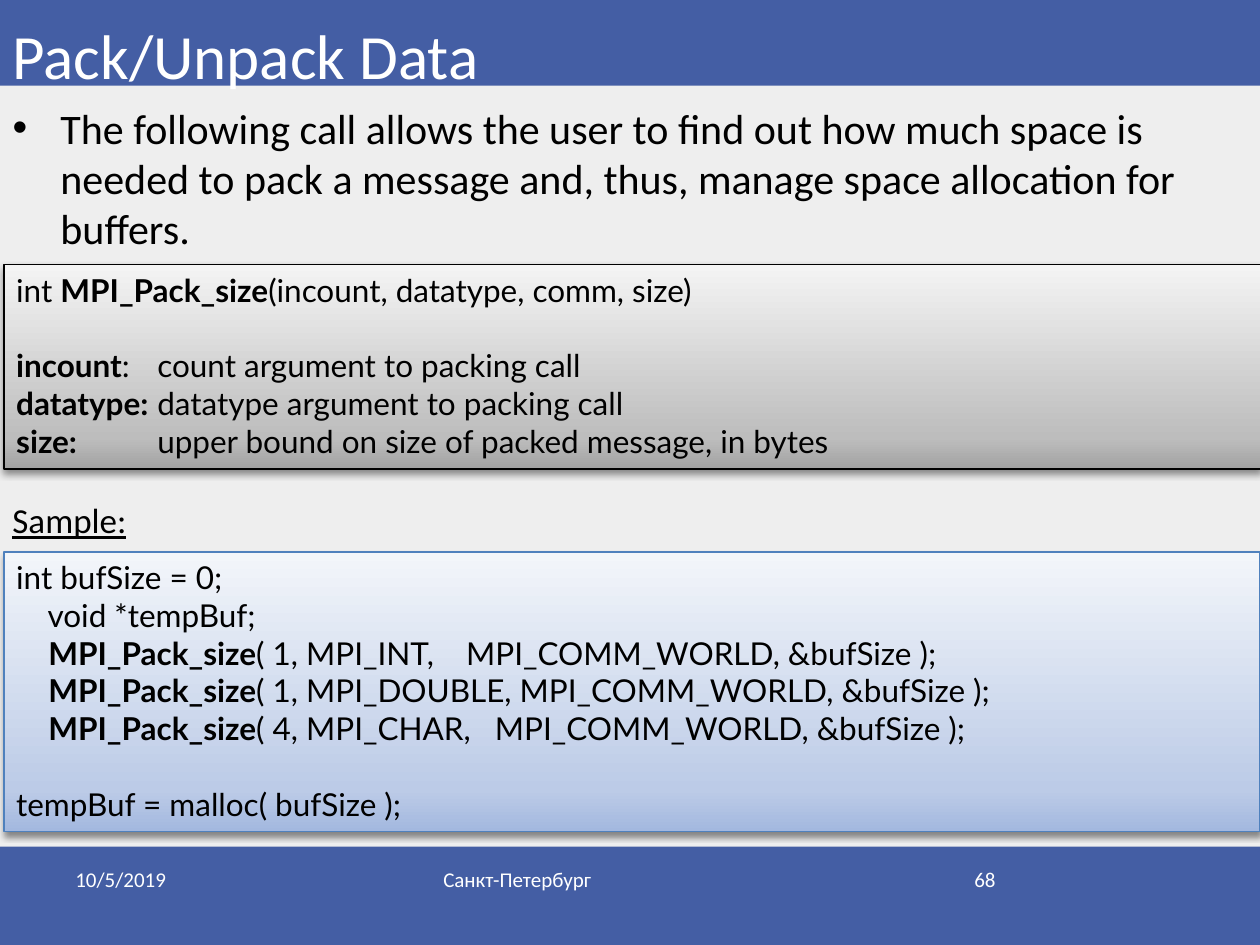
import pptx
import pptx.dml.color
import pptx.enum.shapes
import pptx.enum.text
import pptx.oxml
import pptx.oxml.ns
import pptx.util
from pptx.util import Inches

BAND = "445EA4"
WHITE = "FFFFFF"
BLACK = "000000"
CODE_PT = 18
BLANK_LINE_PT = 21.6
CALL = "MPI_Pack_size"
NS = pptx.oxml.ns.nsdecls("a")
ALIGN = pptx.enum.text.PP_ALIGN
ANCHOR = pptx.enum.text.MSO_ANCHOR
RECTANGLE = pptx.enum.shapes.MSO_SHAPE.RECTANGLE


def rgb(color):
    return pptx.dml.color.RGBColor.from_string(color)


def inches(box):
    return [Inches(length) for length in box]


def place(holder, box):
    holder.left, holder.top, holder.width, holder.height = inches(box)


def add_run(paragraph, words, size, color, font="Calibri", bold=False, underline=None):
    run = paragraph.add_run()
    run.text = words
    run.font.name = font
    run.font.size = pptx.util.Pt(size)
    run.font.bold = bold
    run.font.underline = underline
    run.font.color.rgb = rgb(color)


def add_band(slide, box):
    band = slide.shapes.add_shape(RECTANGLE, *inches(box))
    band.shadow.inherit = False
    band.fill.solid()
    band.fill.fore_color.rgb = rgb(BAND)
    band.line.fill.background()
    slide.shapes._spTree.insert(2, band._element)


def add_label(slide, box, words, size, color, align=ALIGN.LEFT, wrap=True, underline=None):
    label = slide.shapes.add_textbox(*inches(box))
    label.text_frame.word_wrap = wrap
    paragraph = label.text_frame.paragraphs[0]
    paragraph.alignment = align
    add_run(paragraph, words, size, color, underline=underline)


def fill_title(slide, box, words):
    title = slide.shapes.title
    place(title, box)
    title.text_frame.auto_size = pptx.enum.text.MSO_AUTO_SIZE.NONE
    title.text_frame.vertical_anchor = ANCHOR.BOTTOM
    paragraph = title.text_frame.paragraphs[0]
    paragraph.alignment = ALIGN.LEFT
    add_run(paragraph, words, 36, WHITE)


def fill_body(slide, box, words):
    body = slide.placeholders[1]
    place(body, box)
    body.text_frame.auto_size = pptx.enum.text.MSO_AUTO_SIZE.NONE
    paragraph = body.text_frame.paragraphs[0]
    paragraph.space_before = pptx.util.Pt(0)
    properties = paragraph._p.get_or_add_pPr()
    properties.set("marL", str(Inches(0.38)))
    properties.set("indent", str(-Inches(0.38)))
    properties.append(pptx.oxml.parse_xml(f'<a:buChar {NS} char="•"/>'))
    add_run(paragraph, words, 24, BLACK)


def add_panel(slide, box, stops, border, lines, tab=None):
    panel = slide.shapes.add_shape(RECTANGLE, *inches(box))
    panel.line.color.rgb = rgb(border)
    panel.line.width = pptx.util.Pt(1)
    panel.shadow.inherit = False

    stop_xml = "".join(
        f'<a:gs pos="{percent * 1000}"><a:srgbClr val="{color}"/></a:gs>'
        for percent, color in stops
    )
    gradient = pptx.oxml.parse_xml(
        f'<a:gradFill {NS} rotWithShape="1"><a:gsLst>{stop_xml}</a:gsLst>'
        '<a:lin ang="16200000" scaled="0"/></a:gradFill>'
    )
    properties = panel._element.spPr
    properties.find(pptx.oxml.ns.qn("a:prstGeom")).addnext(gradient)
    properties.find(pptx.oxml.ns.qn("a:effectLst")).append(pptx.oxml.parse_xml(
        f'<a:outerShdw {NS} blurRad="{pptx.util.Pt(4)}" dist="{pptx.util.Pt(2)}" '
        'dir="5400000" rotWithShape="0"><a:srgbClr val="000000">'
        '<a:alpha val="43000"/></a:srgbClr></a:outerShdw>'
    ))

    frame = panel.text_frame
    frame.word_wrap = True
    frame.vertical_anchor = ANCHOR.TOP
    for number, (gap, runs) in enumerate(lines):
        paragraph = frame.add_paragraph() if number else frame.paragraphs[0]
        paragraph.alignment = ALIGN.LEFT
        if gap:
            paragraph.space_before = pptx.util.Pt(gap)
        if tab:
            paragraph._p.get_or_add_pPr().append(pptx.oxml.parse_xml(
                f'<a:tabLst {NS}><a:tab pos="{Inches(tab)}" algn="l"/></a:tabLst>'
            ))
        for words, bold in runs:
            add_run(paragraph, words, CODE_PT, BLACK, "Lato", bold)


def add_signature(slide, box):
    lines = [
        (0, [("int ", False), (CALL, True), ("(incount, datatype, comm, size)", False)]),
        (BLANK_LINE_PT, [("incount", True), (":\tcount argument to packing call", False)]),
        (0, [("datatype:", True), ("\tdatatype argument to packing call", False)]),
        (0, [("size:", True), ("\tupper bound on size of packed message, in bytes", False)]),
    ]
    stops = [(0, "A2A2A2"), (15, "BDBDBD"), (100, "F4F4F4")]
    add_panel(slide, box, stops, BLACK, lines, tab=1.12)


def add_sample(slide, box):
    arguments = [
        "( 1, MPI_INT,    MPI_COMM_WORLD, &bufSize );",
        "( 1, MPI_DOUBLE, MPI_COMM_WORLD, &bufSize );",
        "( 4, MPI_CHAR,   MPI_COMM_WORLD, &bufSize );",
    ]
    lines = [
        (0, [("int bufSize = 0;", False)]),
        (0, [("    void *tempBuf;", False)]),
        *[(0, [("    ", False), (CALL, True), (rest, False)]) for rest in arguments],
        (BLANK_LINE_PT, [("tempBuf = malloc( bufSize );", False)]),
    ]
    stops = [(0, "A3B8DF"), (15, "BCCBE7"), (100, "F3F6FA")]
    add_panel(slide, box, stops, "4F81BD", lines)


def add_footer(slide, box):
    left, top, width, height = box
    add_band(slide, box)
    entries = [
        (0.5, 2.33, "10/5/2019", ALIGN.LEFT),
        (3.42, 3.17, "Санкт-Петербург", ALIGN.LEFT),
        (7.17, 0.83, "68", ALIGN.RIGHT),
    ]
    for offset, entry_width, words, align in entries:
        entry_box = (left + offset, top + 0.11, entry_width, 0.52)
        add_label(slide, entry_box, words, 12, WHITE, align)


def main():
    deck = pptx.Presentation()
    deck.slide_width, deck.slide_height = Inches(10), Inches(7.5)
    slide = deck.slides.add_slide(deck.slide_layouts[1])
    slide.background.fill.solid()
    slide.background.fill.fore_color.rgb = rgb("EEEEEE")

    add_band(slide, (0, 0, 10, 0.68))
    fill_title(slide, (0, -0.11, 10, 0.89), "Pack/Unpack Data")
    fill_body(
        slide, (0, 0.76, 10, 1.31),
        "The following call allows the user to find out how much space is needed "
        "to pack a message and, thus, manage space allocation for buffers.",
    )
    add_signature(slide, (0.03, 2.1, 9.98, 1.62))
    add_label(slide, (0, 3.91, 1.15, 0.44), "Sample:", 20, BLACK, wrap=False, underline=True)
    add_sample(slide, (0.03, 4.38, 9.97, 2.22))
    add_footer(slide, (0, 6.72, 10, 0.78))
    deck.save("out.pptx")


if __name__ == "__main__":
    main()
